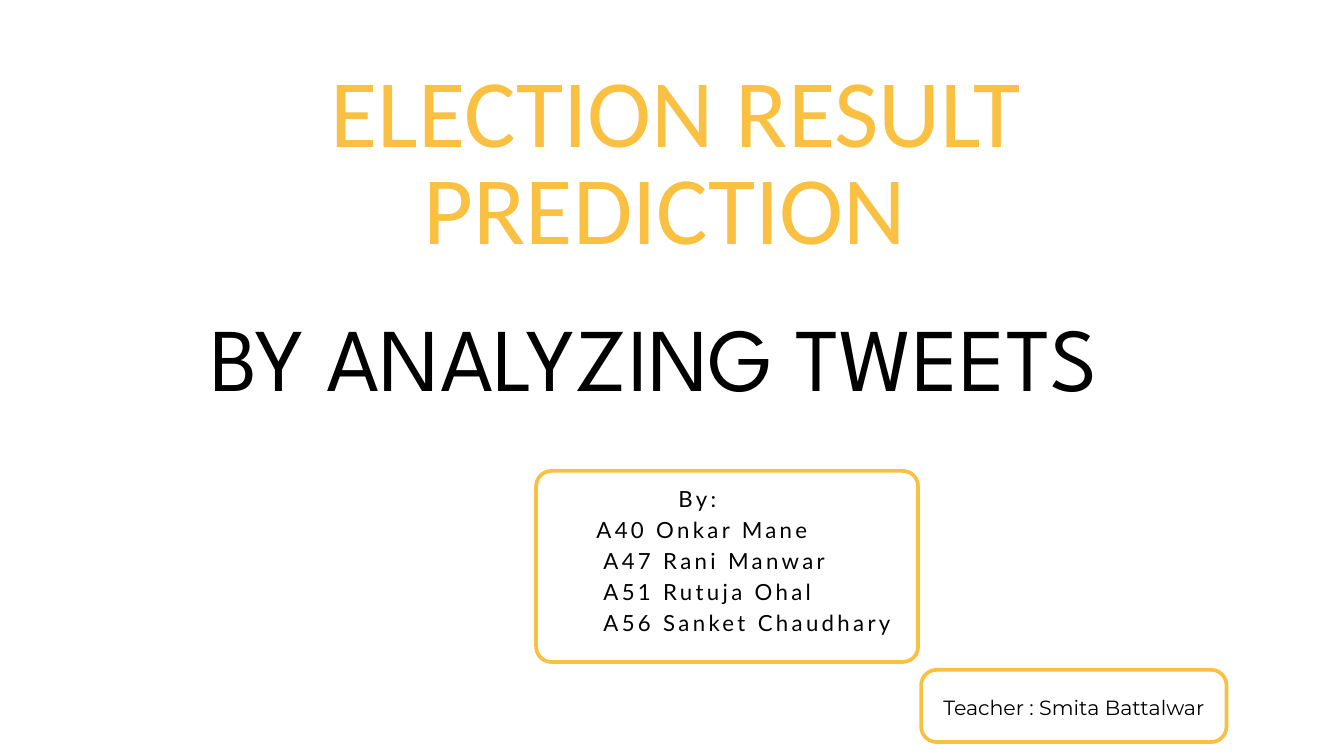
from pptx import Presentation
from pptx import util as u
from pptx.dml.color import RGBColor
from pptx.enum import shapes, text

COLORS = {"accent": "F9C041", "ink": "000000"}
MEMBERS = ["A40 Onkar Mane", "A47 Rani Manwar", "A51 Rutuja Ohal", "A56 Sanket Chaudhary"]
LINE_WIDTH = 0.055
CORNER = 0.23


def color(name):
    return RGBColor.from_string(COLORS[name])


def place(sp, box):
    sp.left, sp.top, sp.width, sp.height = (u.Inches(v) for v in box)


def write(sp, lines, font, size, leading, ink="ink"):
    tf = sp.text_frame
    tf.word_wrap = True
    tf.auto_size = text.MSO_AUTO_SIZE.NONE
    tf.vertical_anchor = text.MSO_ANCHOR.TOP
    tf.margin_left = tf.margin_top = tf.margin_right = tf.margin_bottom = 0
    tf.text = "\n".join(lines)
    for p in tf.paragraphs:
        p.alignment = text.PP_ALIGN.CENTER
        p.line_spacing = u.Pt(leading)
        p.space_before = u.Pt(0)
        p.font.name = font
        p.font.size = u.Pt(size)
        p.font.bold = False
        p.font.color.rgb = color(ink)
    return tf.paragraphs


def add_frame(slide, box):
    x, y, w, h = box
    sp = slide.shapes.add_shape(shapes.MSO_SHAPE.ROUNDED_RECTANGLE, 0, 0, 0, 0)
    place(sp, (x + LINE_WIDTH / 2, y + LINE_WIDTH / 2, w - LINE_WIDTH, h - LINE_WIDTH))
    sp.adjustments[0] = CORNER / (h - LINE_WIDTH)
    sp.shadow.inherit = False
    sp.fill.background()
    sp.line.color.rgb = color("accent")
    sp.line.width = u.Inches(LINE_WIDTH)


def add_label(slide, box, lines, font, size, leading):
    sp = slide.shapes.add_textbox(0, 0, 0, 0)
    place(sp, box)
    return write(sp, lines, font, size, leading)


def add_heading(slide, box):
    x, y, w, h = box
    title, subtitle = slide.placeholders
    place(title, (x + 0.17 * w, y, 0.666 * w, 0.685 * h))
    write(title, ["ELECTION RESULT PREDICTION "], "Calibri", 103.5, 103.5, "accent")
    place(subtitle, (x - 0.54, y + 0.579 * h, w + 0.54, 0.421 * h))
    write(subtitle, ["BY ANALYZING TWEETS"], "League Spartan", 96, 96)


def add_team(slide, box):
    x, y, w, h = box
    add_frame(slide, box)
    paragraphs = add_label(slide, (x - 0.42, y + 0.17, w + 0.09, h - 0.17),
                           ["By: "] + MEMBERS, "Lato", 23.8, 33.3)
    for p in paragraphs:
        for r in p.runs:
            r.font._element.set("spc", "360")
    for p in paragraphs[2:]:
        p.alignment = text.PP_ALIGN.LEFT
        p._p.get_or_add_pPr().set("marL", str(u.Inches(1.45)))


def add_teacher(slide, box):
    x, y, w, h = box
    add_frame(slide, box)
    add_label(slide, (x + 0.31, y + 0.34, w - 0.62, 0.41),
              ["Teacher : Smita Battalwar"], "Montserrat", 22, 30.8)


def main():
    prs = Presentation()
    prs.slide_width, prs.slide_height = u.Inches(20), u.Inches(11.25)
    slide = prs.slides.add_slide(prs.slide_layouts[0])
    add_heading(slide, (0, 1.05, 20, 6.41))
    add_team(slide, (7.95, 6.98, 5.74, 2.9))
    add_teacher(slide, (13.68, 9.94, 4.6, 1.13))
    prs.save("out.pptx")


if __name__ == "__main__":
    main()
